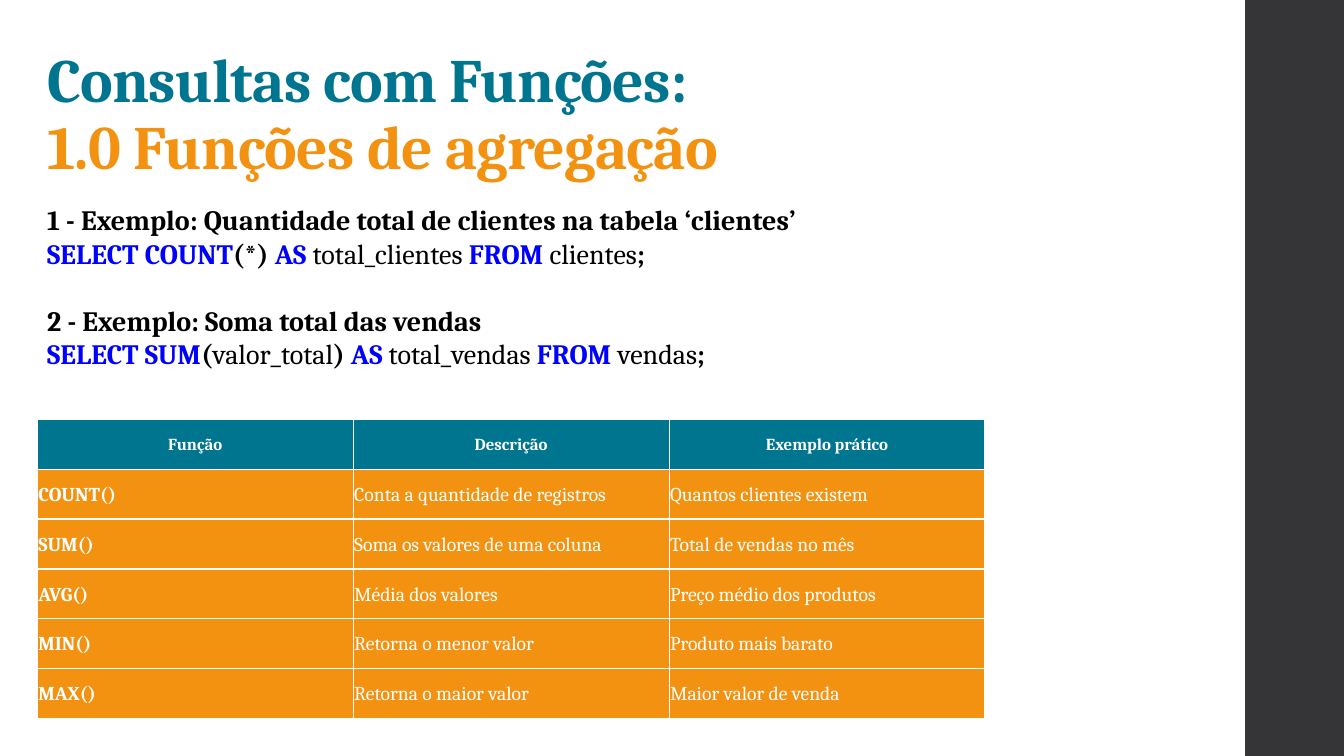
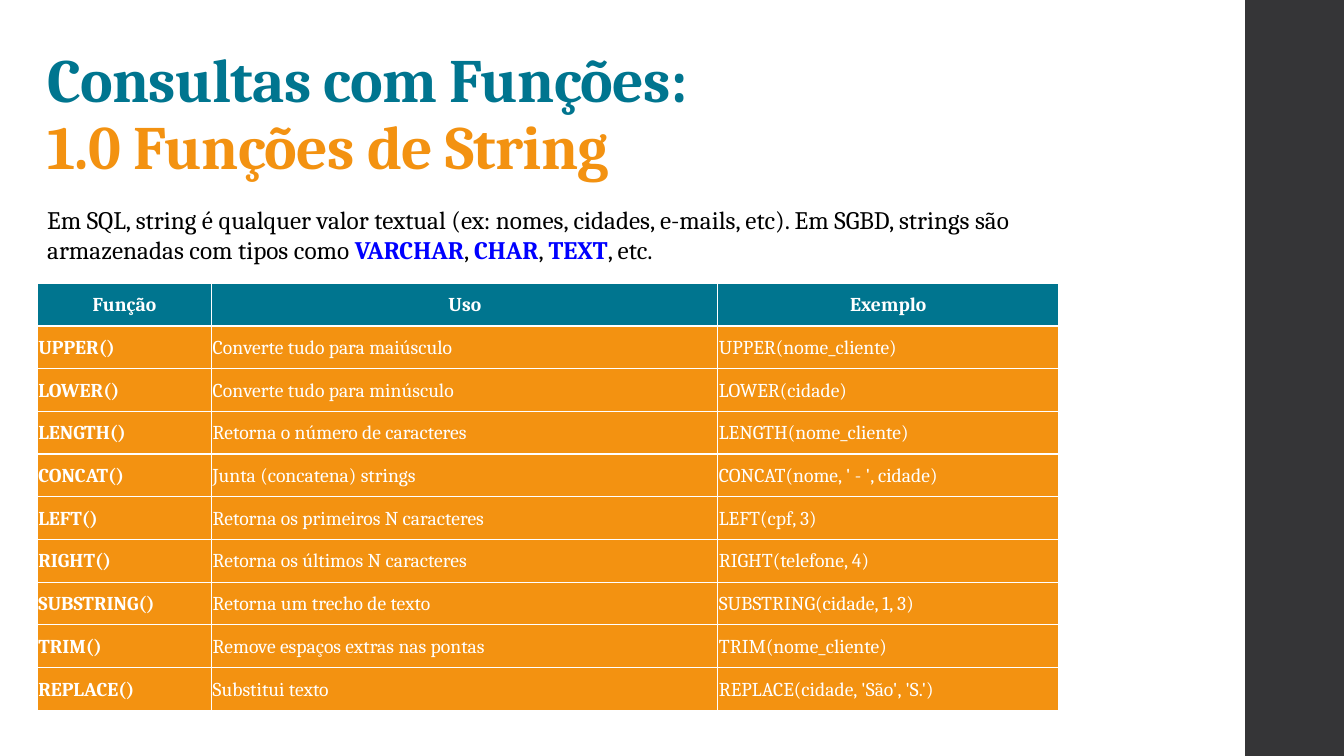
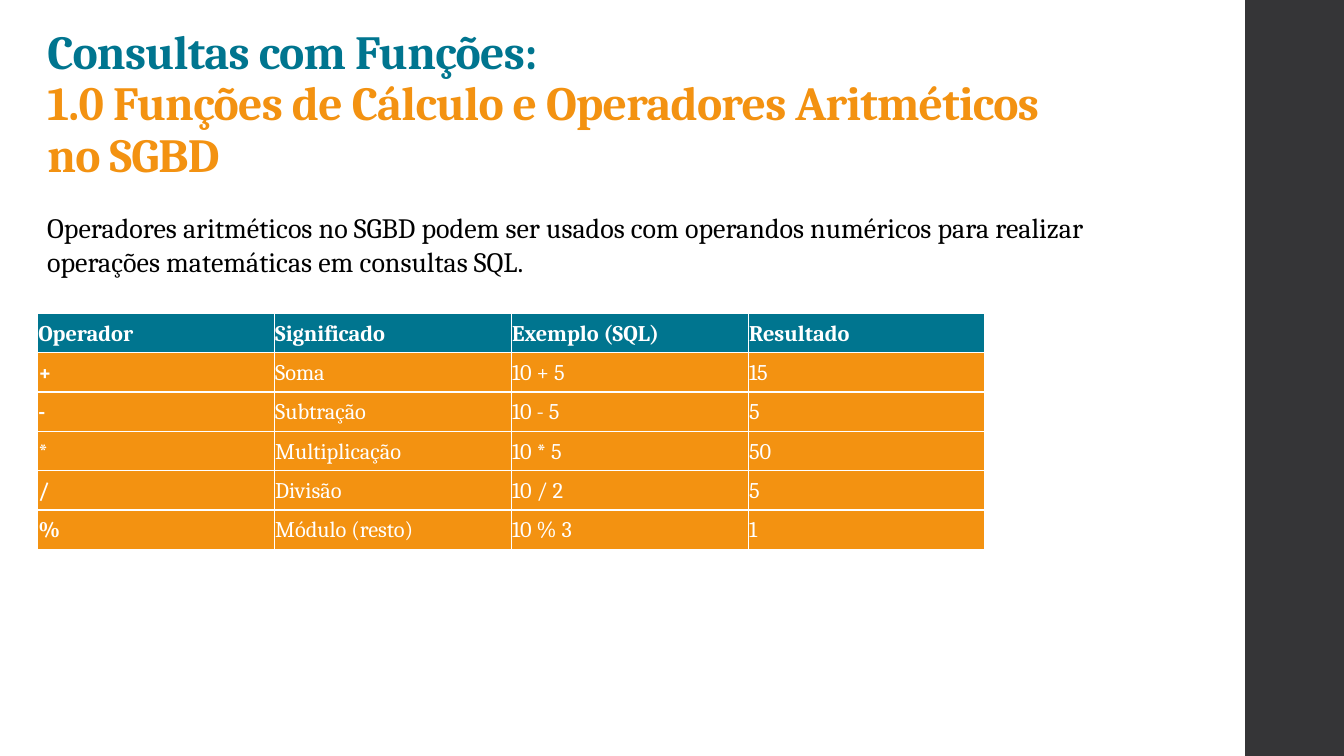
from pptx import Presentation
from pptx.dml.color import RGBColor
from pptx.enum.shapes import MSO_SHAPE as Shape
from pptx.enum.text import MSO_ANCHOR as Anchor, MSO_AUTO_SIZE as AutoSize, PP_ALIGN as Align
from pptx.util import Inches, Pt

SLIDE_W, SLIDE_H = 13.33, 7.5
LEFT = 0.37
BAND_LEFT = 12.35
TITLE_BOX = (LEFT, 0.18, 10.6, 1.68)
TABLE_W = 9.4
FONT = "Cambria"
TEAL, ORANGE, CHARCOAL = "00758F", "F39211", "353537"
BLUE, BLACK, WHITE = "0000FF", "000000", "FFFFFF"


def color(hex_value):
    return RGBColor.from_string(hex_value)


def place(shape, left, top, width, height):
    shape.left, shape.top = Inches(left), Inches(top)
    shape.width, shape.height = Inches(width), Inches(height)


def add_run(paragraph, text, size, ink=BLACK, bold=False):
    run = paragraph.add_run()
    run.text = text
    run.font.name, run.font.size, run.font.bold = FONT, Pt(size), bold
    run.font.color.rgb = color(ink)
    return run


def keyword(text):
    return text, BLUE, True


def strong(text):
    return text, BLACK, True


def plain(text):
    return text, BLACK, False


def set_up_layout(layout, first_slide):
    """Give the layout its title position and its dark side band."""
    title = layout.placeholders[0]
    place(title, *TITLE_BOX)
    title.text_frame.vertical_anchor = Anchor.BOTTOM
    band = first_slide.shapes.add_shape(
        Shape.RECTANGLE, Inches(BAND_LEFT), 0, Inches(SLIDE_W - BAND_LEFT), Inches(SLIDE_H))
    band.shadow.inherit = False
    band.fill.solid()
    band.fill.fore_color.rgb = color(CHARCOAL)
    band.line.fill.background()
    layout.shapes.element.insert(2, band.element)


def add_title(slide, topic, size=44):
    frame = slide.shapes.title.text_frame
    frame.auto_size = AutoSize.NONE
    heading = frame.paragraphs[0]
    heading.alignment = Align.LEFT
    heading.line_spacing = 0.9
    section = add_run(heading, "Consultas com Funções:", size, TEAL, True)
    heading.add_line_break()
    subject = add_run(heading, topic, size, ORANGE, True)
    for run in (section, subject):
        run.font._element.set("spc", "-50")


def add_body(slide, top, width, height, size, lines, gap_before=()):
    """Write lines of (text, ink, bold) runs; gap_before lists lines set one line lower."""
    box = slide.shapes.add_textbox(Inches(LEFT), Inches(top), Inches(width), Inches(height))
    frame = box.text_frame
    frame.word_wrap = True
    for index, runs in enumerate(lines):
        paragraph = frame.add_paragraph() if index else frame.paragraphs[0]
        if index in gap_before:
            paragraph.space_before = Pt(size * 1.2)
        for text, ink, bold in runs:
            add_run(paragraph, text, size, ink, bold)


def fill_cell(cell, text, size, background, bold, alignment):
    cell.margin_left = cell.margin_right = cell.margin_top = cell.margin_bottom = Inches(0.01)
    cell.vertical_anchor = Anchor.MIDDLE
    cell.fill.solid()
    cell.fill.fore_color.rgb = color(background)
    paragraph = cell.text_frame.paragraphs[0]
    paragraph.alignment = alignment
    paragraph.line_spacing = 1.07
    add_run(paragraph, text, size, WHITE, bold)


def add_reference_table(slide, top, height, widths, rows, size,
                        header_size=None, header_align=Align.CENTER):
    """Teal header over orange rows with a bold first column."""
    table = slide.shapes.add_table(len(rows), len(widths), Inches(LEFT), Inches(top),
                                   Inches(sum(widths)), Inches(height)).table
    table.horz_banding = False
    for column, width in zip(table.columns, widths):
        column.width = Inches(width)
    for r, texts in enumerate(rows):
        table.rows[r].height = Inches(height / len(rows))
        for c, text in enumerate(texts):
            if r == 0:
                fill_cell(table.cell(r, c), text, header_size or size, TEAL, True, header_align)
            else:
                fill_cell(table.cell(r, c), text, size, ORANGE, c == 0, Align.LEFT)


def build_aggregation(slide):
    add_title(slide, "1.0 Funções de agregação")
    add_body(slide, 1.96, 10.32, 2.42, 20, [
        [strong("1 - Exemplo: Quantidade total de clientes na tabela ‘clientes’")],
        [keyword("SELECT COUNT"), strong("(*) "), keyword("AS "), plain("total_clientes "),
         keyword("FROM"), plain(" clientes"), strong(";")],
        [strong("2 - Exemplo: Soma total das vendas")],
        [keyword("SELECT SUM"), strong("("), plain("valor_total"), strong(") "), keyword("AS "),
         plain("total_vendas "), keyword("FROM"), plain(" vendas"), strong(";")],
    ], gap_before=(2,))
    add_reference_table(slide, 4.16, 2.97, [TABLE_W / 3] * 3, [
        ("Função", "Descrição", "Exemplo prático"),
        ("COUNT()", "Conta a quantidade de registros", "Quantos clientes existem"),
        ("SUM()", "Soma os valores de uma coluna", "Total de vendas no mês"),
        ("AVG()", "Média dos valores", "Preço médio dos produtos"),
        ("MIN()", "Retorna o menor valor", "Produto mais barato"),
        ("MAX()", "Retorna o maior valor", "Maior valor de venda"),
    ], 14, header_size=12)


def build_strings(slide):
    add_title(slide, "1.0 Funções de String")
    add_body(slide, 1.98, 11.03, 0.71, 18, [[
        plain("Em SQL, string é qualquer valor textual (ex: nomes, cidades, e-mails, etc). "
              "Em SGBD, strings são armazenadas com tipos como "),
        keyword("VARCHAR"), plain(", "), keyword("CHAR"), plain(", "), keyword("TEXT"),
        plain(", etc."),
    ]])
    add_reference_table(slide, 2.81, 4.24, [1.73, 5.02, 3.38], [
        ("Função", "Uso", "Exemplo"),
        ("UPPER()", "Converte tudo para maiúsculo", "UPPER(nome_cliente)"),
        ("LOWER()", "Converte tudo para minúsculo", "LOWER(cidade)"),
        ("LENGTH()", "Retorna o número de caracteres", "LENGTH(nome_cliente)"),
        ("CONCAT()", "Junta (concatena) strings", "CONCAT(nome, ' - ', cidade)"),
        ("LEFT()", "Retorna os primeiros N caracteres", "LEFT(cpf, 3)"),
        ("RIGHT()", "Retorna os últimos N caracteres", "RIGHT(telefone, 4)"),
        ("SUBSTRING()", "Retorna um trecho de texto", "SUBSTRING(cidade, 1, 3)"),
        ("TRIM()", "Remove espaços extras nas pontas", "TRIM(nome_cliente)"),
        ("REPLACE()", "Substitui texto", "REPLACE(cidade, 'São', 'S.')"),
    ], 14)


def build_arithmetic(slide):
    add_title(slide, "1.0 Funções de Cálculo e Operadores Aritméticos no SGBD", size=34)
    add_body(slide, 2.04, 11.03, 1.45, 20, [[
        plain("Operadores aritméticos no SGBD podem ser usados com operandos numéricos "
              "para realizar operações matemáticas em consultas SQL."),
    ]])
    add_reference_table(slide, 3.11, 2.34, [TABLE_W / 4] * 4, [
        ("Operador", "Significado", "Exemplo (SQL)", "Resultado"),
        ("+", "Soma", "10 + 5", "15"),
        ("-", "Subtração", "10 - 5", "5"),
        ("*", "Multiplicação", "10 * 5", "50"),
        ("/", "Divisão", "10 / 2", "5"),
        ("%", "Módulo (resto)", "10 % 3", "1"),
    ], 16, header_align=Align.LEFT)


def main():
    deck = Presentation()
    deck.slide_width, deck.slide_height = Inches(SLIDE_W), Inches(SLIDE_H)
    title_only = deck.slide_layouts[5]
    builders = (build_aggregation, build_strings, build_arithmetic)
    slides = [deck.slides.add_slide(title_only) for _ in builders]
    set_up_layout(title_only, slides[0])
    for build, slide in zip(builders, slides):
        build(slide)
    deck.save("out.pptx")


if __name__ == "__main__":
    main()
